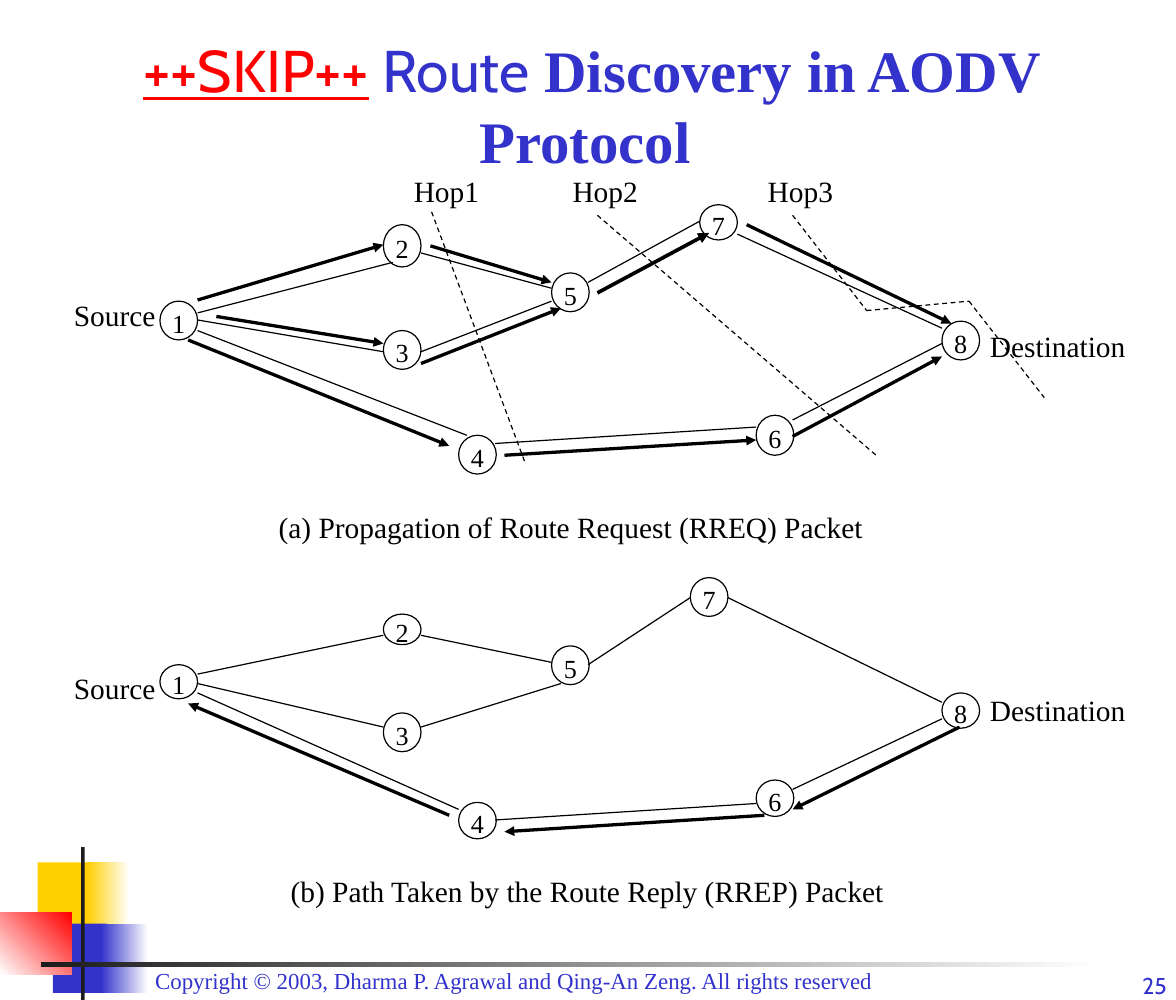
from lxml import etree
from pptx import Presentation
from pptx.dml.color import RGBColor
from pptx.enum.dml import MSO_LINE
from pptx.enum.shapes import MSO_CONNECTOR, MSO_SHAPE
from pptx.enum.text import MSO_ANCHOR, MSO_AUTO_SIZE, PP_ALIGN
from pptx.oxml.ns import qn
from pptx.util import Inches, Pt

BLACK = RGBColor(0x00, 0x00, 0x00)
WHITE = RGBColor(0xFF, 0xFF, 0xFF)
RED = RGBColor(0xFF, 0x00, 0x00)
BLUE = RGBColor(0x33, 0x33, 0xCC)
YELLOW = RGBColor(0xFF, 0xCF, 0x01)
DARK = RGBColor(0x1C, 0x1C, 0x1C)
SERIF, SANS = "Times New Roman", "Cabin"

prs = Presentation()
prs.slide_width, prs.slide_height = Inches(10), Inches(8.5)
s = prs.slides.add_slide(prs.slide_layouts[5])


def add_text(x, y, w, h, text, size=18, font=SERIF, color=BLACK,
             align=PP_ALIGN.LEFT, inset_y=0.05):
    sp = s.shapes.add_textbox(Inches(x), Inches(y), Inches(w), Inches(h))
    tf = sp.text_frame
    tf.word_wrap = True
    tf.margin_top = tf.margin_bottom = Inches(inset_y)
    p = tf.paragraphs[0]
    p.alignment = align
    r = p.add_run()
    r.text = text
    r.font.size, r.font.name = Pt(size), font
    r.font.color.rgb = color


def add_line(x1, y1, x2, y2, width=0.75, dashed=False, arrow=False):
    c = s.shapes.add_connector(MSO_CONNECTOR.STRAIGHT, Inches(x1), Inches(y1),
                               Inches(x2), Inches(y2))
    c.line.color.rgb = BLACK
    c.line.width = Pt(width)
    if dashed:
        c.line.dash_style = MSO_LINE.DASH
    spPr = c._element.spPr
    if arrow:
        etree.SubElement(spPr.find(qn("a:ln")), qn("a:tailEnd"), type="triangle")
    etree.SubElement(spPr, qn("a:effectLst"))


# Corner decoration: left, top, width, height, start colour, end colour, angle
decoration = [
    (0.32, 7.33, 0.48, 0.59, YELLOW, None, 0),
    (0.74, 7.33, 0.36, 0.59, YELLOW, WHITE, 0),
    (0.45, 7.85, 0.46, 0.59, BLUE, None, 0),
    (0.86, 7.85, 0.40, 0.59, BLUE, WHITE, 0),
    (0.00, 7.76, 0.61, 0.52, WHITE, RED, 45),
    (0.69, 7.20, 0.03, 1.30, DARK, None, 0),
    (0.35, 8.18, 9.00, 0.04, DARK, WHITE, 0),
]
for x, y, w, h, start, end, angle in decoration:
    sp = s.shapes.add_shape(MSO_SHAPE.RECTANGLE, Inches(x), Inches(y), Inches(w), Inches(h))
    sp.shadow.inherit = False
    sp.line.fill.background()
    if end is None:
        sp.fill.solid()
        sp.fill.fore_color.rgb = start
    else:
        sp.fill.gradient()
        sp.fill.gradient_angle = angle
        for stop, color in zip(sp.fill.gradient_stops, (start, end)):
            stop.color.rgb = color

add_text(1.22, 8.17, 7.58, 0.34,
         "Copyright © 2003, Dharma P. Agrawal and Qing-An Zeng. All rights reserved",
         size=14, color=BLUE)
add_text(9.22, 8.26, 0.8, 0.27, "25", size=14, font=SANS, color=BLUE,
         align=PP_ALIGN.RIGHT, inset_y=0)

# Title
title = s.shapes.title
title.left, title.top = Inches(0.37), Inches(0.24)
title.width, title.height = Inches(9.21), Inches(1.3)
tf = title.text_frame
tf.word_wrap = True
tf.auto_size = MSO_AUTO_SIZE.NONE
tf.vertical_anchor = MSO_ANCHOR.TOP
p = tf.paragraphs[0]
p.alignment = PP_ALIGN.CENTER
for text, font, color, bold, underline in [
    (" ", SANS, BLUE, True, False),
    ("++SKIP++", SANS, RED, False, True),
    (" ", SANS, BLACK, False, False),
    ("Route", SANS, BLUE, False, False),
    (" Discovery in AODV Protocol", SERIF, BLUE, True, False),
]:
    r = p.add_run()
    r.text = text
    r.font.size, r.font.name = Pt(36), font
    r.font.bold, r.font.underline = bold, underline
    r.font.color.rgb = color

# Nodes of both networks: number, left, top, height
NODE_W = 0.32
request_nodes = [
    (1, 1.36, 2.56, 0.33), (2, 3.26, 1.91, 0.36), (3, 3.26, 2.81, 0.33),
    (4, 3.90, 3.70, 0.33), (5, 4.69, 2.32, 0.33), (6, 6.43, 3.53, 0.34),
    (7, 5.95, 1.74, 0.30), (8, 8.01, 2.73, 0.33),
]
reply_nodes = [
    (1, 1.36, 5.65, 0.29), (2, 3.26, 5.22, 0.26), (3, 3.26, 6.06, 0.33),
    (4, 3.90, 6.82, 0.31), (5, 4.69, 5.49, 0.33), (6, 6.43, 6.63, 0.31),
    (7, 5.87, 4.91, 0.33), (8, 8.01, 5.89, 0.30),
]
for number, x, y, h in request_nodes + reply_nodes:
    sp = s.shapes.add_shape(MSO_SHAPE.OVAL, Inches(x), Inches(y), Inches(NODE_W), Inches(h))
    sp.shadow.inherit = False
    sp.fill.solid()
    sp.fill.fore_color.rgb = WHITE
    sp.line.color.rgb = BLACK
    sp.line.width = Pt(0.75)
    tf = sp.text_frame
    tf.word_wrap = False
    tf.margin_left = tf.margin_right = tf.margin_bottom = 0
    tf.margin_top = Inches(0.04)
    tf.vertical_anchor = MSO_ANCHOR.MIDDLE
    p = tf.paragraphs[0]
    p.alignment = PP_ALIGN.CENTER
    r = p.add_run()
    r.text = str(number)
    r.font.size, r.font.name = Pt(16), SERIF
    r.font.color.rgb = BLACK

request_links = [
    (1.68, 2.66, 3.34, 2.23), (6.27, 1.99, 8.01, 2.79), (1.68, 2.72, 3.26, 2.99),
    (1.68, 2.81, 3.97, 3.70), (4.21, 3.77, 6.43, 3.63), (6.74, 3.57, 8.01, 2.92),
    (3.58, 2.99, 4.69, 2.56), (3.58, 2.15, 4.69, 2.45), (5.00, 2.40, 5.95, 1.88),
]
reply_links = [
    (1.68, 5.73, 3.26, 5.40), (6.19, 5.08, 8.01, 5.97), (1.68, 5.81, 3.26, 6.18),
    (1.68, 5.89, 3.90, 6.88), (4.21, 6.97, 6.43, 6.83), (6.74, 6.71, 8.01, 6.11),
    (3.58, 6.18, 4.77, 5.81), (3.58, 5.40, 4.69, 5.63), (5.00, 5.65, 5.87, 5.08),
]
for ends in request_links + reply_links:
    add_line(*ends)

request_arrows = [
    (1.68, 2.55, 3.26, 2.08), (1.84, 2.69, 3.26, 2.92), (3.58, 3.09, 4.77, 2.62),
    (3.66, 2.09, 4.69, 2.40), (1.60, 2.89, 3.82, 3.79), (4.29, 3.87, 6.43, 3.74),
    (6.74, 3.71, 8.01, 3.03), (6.35, 1.91, 8.09, 2.75),
]
reply_arrows = [
    (8.16, 6.18, 6.74, 6.88), (6.50, 6.93, 4.29, 7.07), (3.82, 6.93, 1.60, 5.98),
]
for ends in request_arrows + reply_arrows:
    add_line(*ends, width=2, arrow=True)
add_line(5.08, 2.49, 6.03, 1.98, width=2.25, arrow=True)

hop_boundaries = [
    (3.67, 1.80, 4.46, 3.92), (5.08, 1.83, 7.45, 3.87), (6.74, 1.83, 7.37, 2.64),
    (7.37, 2.64, 8.24, 2.56), (8.24, 2.56, 8.88, 3.38),
]
for ends in hop_boundaries:
    add_line(*ends, dashed=True)

# Labels and captions
for hop, x in enumerate((3.42, 4.77, 6.43), start=1):
    add_text(x, 1.42, 1.11, 0.4, f"Hop{hop}")
for source_y, destination_y in ((2.48, 2.74), (5.65, 5.83)):
    add_text(0.42, source_y, 1.11, 0.4, "Source", align=PP_ALIGN.CENTER)
    add_text(8.32, destination_y, 1.43, 0.4, "Destination")
add_text(1.14, 4.28, 7.43, 0.4, "(a) Propagation of Route Request (RREQ) Packet",
         align=PP_ALIGN.CENTER)
add_text(1.36, 7.37, 7.27, 0.4, "(b) Path Taken by the Route Reply (RREP) Packet",
         align=PP_ALIGN.CENTER)

prs.save("out.pptx")
